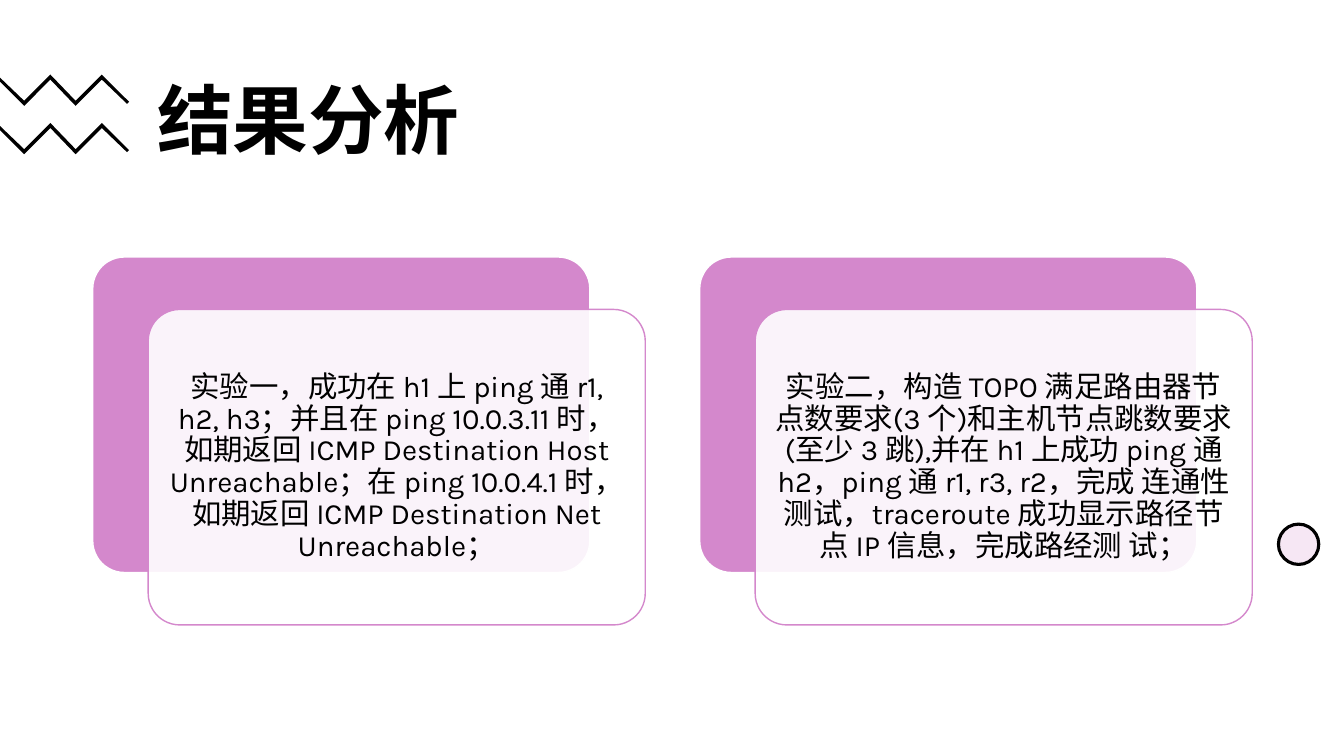
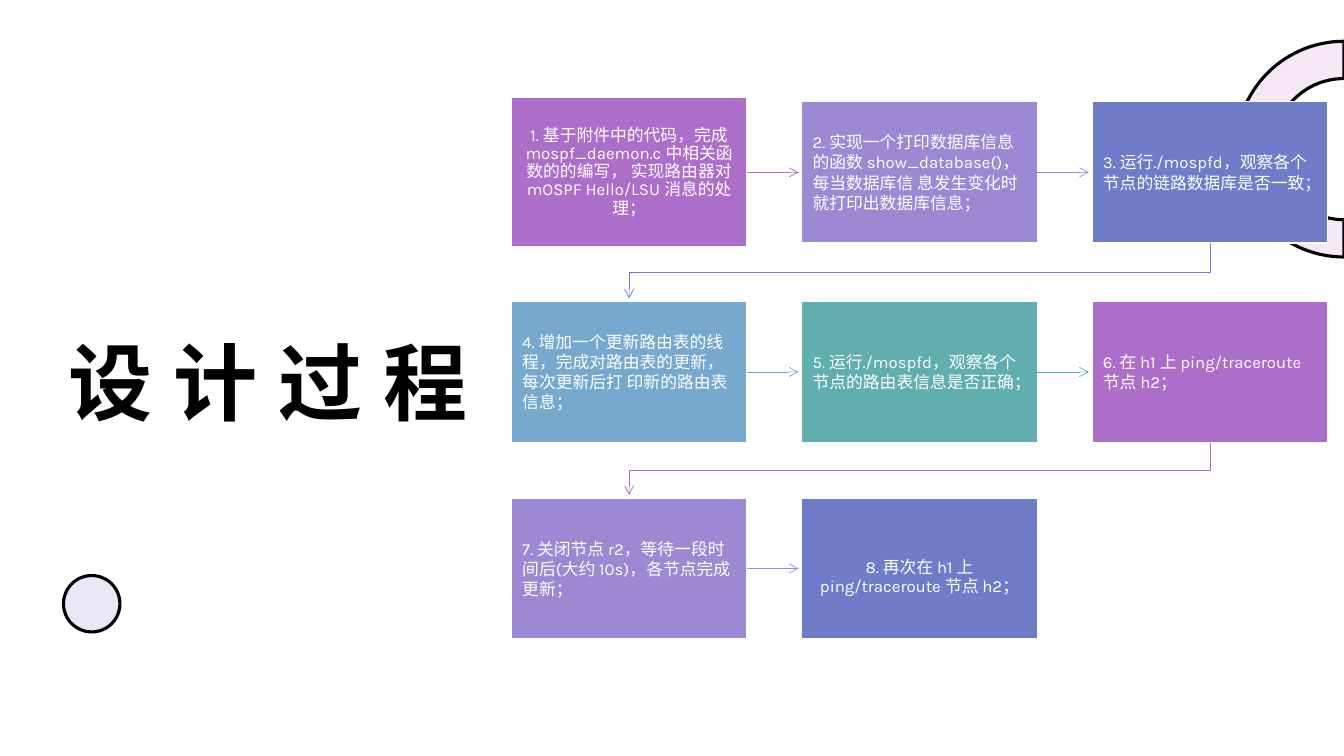
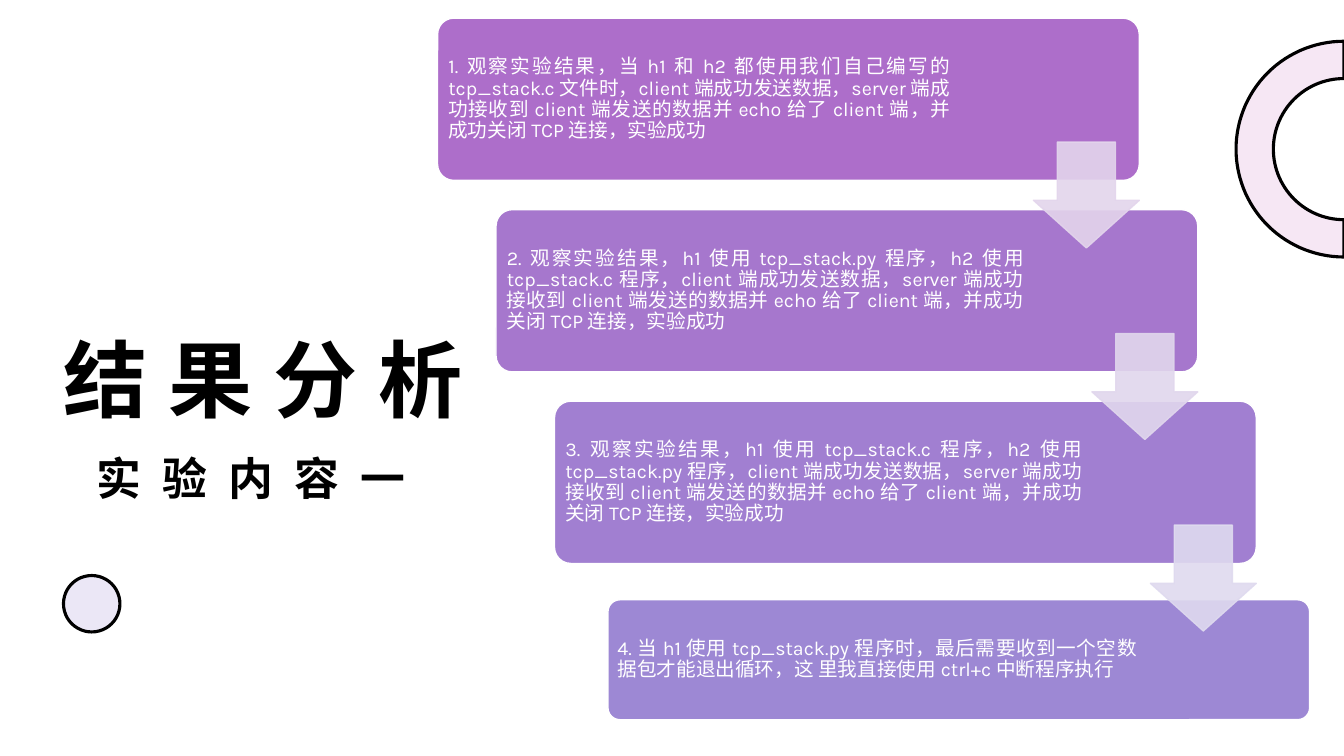
from dataclasses import dataclass
from math import cos, pi, sin

from lxml import etree
from pptx import Presentation
from pptx import util as u
from pptx.dml.color import RGBColor
from pptx.enum import shapes, text
from pptx.oxml.ns import qn

PX = 9144  # EMU in one px, 100 px to the inch


@dataclass(frozen=True)
class Theme:
    font: str = "Karla"
    ink: str = "000000"
    paper: str = "FFFFFF"
    pink: str = "D488CC"
    plum: str = "AD6ECA"
    lilac: str = "9D88D4"
    blue: str = "6E7CCA"
    sky: str = "77A8CE"
    teal: str = "60AEB0"
    steps: tuple = ("AD6ECA", "A677CD", "A17FD1", "9D88D4")
    drops: tuple = ("E3D5EC", "E1D7ED", "DFDAEF")
    head: int = 54
    hero: int = 60
    sub: int = 32
    large: int = 21
    body: int = 14
    small: int = 12
    track: int = 15
    thick: float = 2.25
    edge: float = 1
    hair: float = 0.5


T = Theme()
KIND = shapes.MSO_SHAPE
LEFT, MID, JUST = text.PP_ALIGN.LEFT, text.PP_ALIGN.CENTER, text.PP_ALIGN.JUSTIFY


# Shared drawing helpers

def emu(*sizes):
    return [round(size * PX) for size in sizes]


def fade(paint, alpha):
    """Set the opacity, in percent, of the solid fill inside paint."""
    tint = paint.find(qn("a:solidFill"))[0]
    etree.SubElement(tint, qn("a:alpha")).set("val", str(alpha * 1000))


def stroke(part, color, width):
    part.line.color.rgb = RGBColor.from_string(color)
    part.line.width = u.Pt(width)


def style(shape, fill=None, line=None, width=T.edge, alpha=100):
    shape.shadow.inherit = False
    if fill:
        shape.fill.solid()
        shape.fill.fore_color.rgb = RGBColor.from_string(fill)
        if alpha < 100:
            fade(shape._element.spPr, alpha)
    else:
        shape.fill.background()
    if line:
        stroke(shape, line, width)
    else:
        shape.line.fill.background()
    return shape


def block(slide, kind, box, *look, adj=(), **more):
    shape = slide.shapes.add_shape(kind, *emu(*box))
    for index, value in enumerate(adj):
        shape.adjustments[index] = value
    return style(shape, *look, **more)


def path(slide, points, close=True):
    points = [emu(*point) for point in points]
    pen = slide.shapes.build_freeform(*points[0], scale=1)
    pen.add_line_segments(points[1:], close=close)
    return pen.convert_to_shape()


def arrow(part):
    tip = etree.SubElement(part.line._get_or_add_ln(), qn("a:tailEnd"))
    tip.set("type", "arrow")


def write(shape, words, size, color, align=LEFT, pad=(10, 5, 10, 5),
          space=0.9, anchor=text.MSO_ANCHOR.MIDDLE, bold=False, track=0):
    frame = shape.text_frame
    frame.word_wrap = True
    frame.vertical_anchor = anchor
    (frame.margin_left, frame.margin_top,
     frame.margin_right, frame.margin_bottom) = emu(*pad)
    para = frame.paragraphs[0]
    para.alignment, para.line_spacing = align, space
    run = para.add_run()
    run.text = words
    font = para.font
    font.name, font.size, font.bold = T.font, u.Pt(size), bold
    font.color.rgb = RGBColor.from_string(color)
    if track:
        run._r.get_or_add_rPr().set("spc", str(track * 100))


def title(slide, box, words, size, **more):
    label = slide.shapes.add_textbox(*emu(*box))
    write(label, words, size, T.ink, bold=True, **more)


def hero(slide, box, words, size=T.hero, align=LEFT):
    title(slide, box, words, size, align=align, track=T.track,
          anchor=text.MSO_ANCHOR.BOTTOM)


# Ornaments

def zigzag(slide, top):
    ridge = [(0, 3), (24, 26), (50, 0), (75, 26), (101, 0), (128, 27),
             (126, 29), (101, 5), (75, 31), (50, 5), (24, 31), (0, 7)]
    style(path(slide, [(x, top + y) for x, y in ridge]), T.ink)


def dot(slide, box, color):
    block(slide, KIND.OVAL, box, color, T.ink, T.thick, alpha=20)


def ring(slide, x, y, outer, inner):
    """Left half of a ring centred on x, y."""
    turn = [pi / 2 + pi * step / 60 for step in range(61)]
    arc = [(x + outer * cos(a), y + outer * sin(a)) for a in turn]
    arc += [(x + inner * cos(a), y + inner * sin(a)) for a in reversed(turn)]
    style(path(slide, arc), T.pink, T.ink, T.thick, alpha=20)


def side(slide):
    ring(slide, 1333, 148, 107, 70)
    dot(slide, (63, 571, 56, 56), T.lilac)


# Slide 1: two layered cards

def card(slide, box, words):
    x, y, w, h = box
    block(slide, KIND.ROUNDED_RECTANGLE, box, T.pink, T.paper, adj=[0.1])
    front = block(slide, KIND.ROUNDED_RECTANGLE, (x + 55, y + 52, w, h),
                  T.paper, T.pink, adj=[0.1], alpha=90)
    write(front, words, T.large, T.ink, MID, (9, 9, 9, 9))


def cards(slide):
    title(slide, (146, 62, 1066, 123), "结果分析", T.head)
    for top in (74, 122):
        zigzag(slide, top)
    dot(slide, (1268, 520, 40, 40), T.pink)
    notes = [
        "实验一，成功在 h1 上 ping 通 r1, h2, h3；并且在 ping 10.0.3.11 时，"
        "如期返回 ICMP Destination Host Unreachable；在 ping 10.0.4.1 时，"
        "如期返回 ICMP Destination Net Unreachable；",
        "实验二，构造 TOPO 满足路由器节点数要求(3 个)和主机节点跳数要求"
        "(至少 3 跳),并在 h1 上成功 ping 通 h2，ping 通 r1, r3, r2，"
        "完成 连通性测试，traceroute 成功显示路径节点 IP 信息，完成路经测 试；",
    ]
    for index, words in enumerate(notes):
        card(slide, (92 + 602 * index, 255, 493, 313), words)


# Slide 2: process grid

def link(slide, cell, color):
    """Arrow from the right side of a cell to the next one."""
    x = cell.left + cell.width
    y = cell.top + cell.height // 2
    line = slide.shapes.add_connector(
        shapes.MSO_CONNECTOR.STRAIGHT, x, y, x + 51 * PX, y)
    line.begin_connect(cell, 3)
    stroke(line, color, T.hair)
    arrow(line)
    etree.SubElement(line._element.spPr, qn("a:effectLst"))


def wrap(slide, start, end, color):
    """Arrow from the last cell of a row to the first of the next."""
    (x1, y1), (x2, y2) = start, end
    mid = (y1 + y2) / 2
    turn = [start, (x1, mid), (x2, mid), (x2, y2 - 3)]
    line = style(path(slide, turn, close=False), None, color, T.hair)
    arrow(line)


def flow(slide, left, tops, steps):
    w, h, pitch = 234, 140, 288
    for index, (color, words) in enumerate(steps):
        row, col = divmod(index, 3)
        x, y = left + pitch * col, tops[row]
        first, last = index == 0, index == len(steps) - 1
        grow = 4 if first else 0  # the opening cell is taller
        drop = 18 if last else 0  # the closing text sits lower
        cell = block(slide, KIND.RECTANGLE,
                     (x, y - grow, w, h + 2 * grow), color, T.paper)
        outer = first or last
        write(cell, words, T.small, T.paper, MID if outer else LEFT,
              (11, 12 + drop, 11, 12), 0.9 if outer else 1.0)
        if last:
            continue
        if col < 2:
            link(slide, cell, color)
        else:
            wrap(slide, (x + w / 2, y + h),
                 (left + w / 2, tops[row + 1]), color)


def process(slide):
    side(slide)
    hero(slide, (43, 315, 445, 119), "设计过程", align=MID)
    flow(slide, 507, (101, 299, 494), [
        (T.plum, "1. 基于附件中的代码，完成 mospf_daemon.c 中相关函数的的编写， "
                 "实现路由器对 mOSPF Hello/LSU 消息的处理；"),
        (T.lilac, "2. 实现一个打印数据库信息的函数 show_database()，"
                  "每当数据库信 息发生变化时就打印出数据库信息；"),
        (T.blue, "3. 运行./mospfd，观察各个节点的链路数据库是否一致；"),
        (T.sky, "4. 增加一个更新路由表的线程，完成对路由表的更新，"
                "每次更新后打 印新的路由表信息；"),
        (T.teal, "5. 运行./mospfd，观察各个节点的路由表信息是否正确；"),
        (T.plum, "6. 在 h1 上 ping/traceroute 节点 h2；"),
        (T.lilac, "7. 关闭节点 r2，等待一段时间后(大约 10s)，各节点完成更新；"),
        (T.blue, "8. 再次在 h1 上 ping/traceroute 节点 h2；"),
    ])


# Slide 3: staircase of results

def stairs(slide, spots, notes):
    """Each spot holds left, top, height and the right text inset."""
    for (x, y, h, inset), color, words in zip(spots, T.steps, notes):
        step = block(slide, KIND.ROUNDED_RECTANGLE, (x, y, 696, h),
                     color, T.paper, adj=[0.1])
        write(step, words, T.body, T.paper, JUST, (6, 6, inset, 6))
    for (x, y, *_), color in zip(spots, T.drops):
        drop = block(slide, KIND.DOWN_ARROW, (x + 591, y + 123, 105, 105),
                     color, color, adj=[0.55, 0.45], alpha=90)
        fade(drop.line._get_or_add_ln(), 90)


def results(slide):
    side(slide)
    hero(slide, (53, 319, 458, 112), "结果分析")
    tail = ("client 端成功发送数据，server 端成功接收到 client 端发送的数据并 "
            "echo 给了 client 端，并成功关闭 TCP 连接，实验成功")
    spots = [(434, 18, 161, 183), (492, 208, 161, 168),
             (550, 398, 161, 168), (603, 595, 119, 168)]
    stairs(slide, spots, [
        "1. 观察实验结果，当 h1 和 h2 都使⽤我们⾃⼰编写的 tcp_stack.c ⽂件时，" + tail,
        "2. 观察实验结果，h1 使⽤ tcp_stack.py 程序，h2 使⽤ tcp_stack.c 程序，" + tail,
        "3. 观察实验结果，h1 使⽤ tcp_stack.c 程序，h2 使⽤ tcp_stack.py 程序，" + tail,
        "4. 当 h1 使⽤ tcp_stack.py 程序时，最后需要收到⼀个空数据包才能退出循环，"
        "这 ⾥我直接使⽤ ctrl+c 中断程序执⾏",
    ])
    hero(slide, (43, 437, 412, 69), "实验内容一", T.sub, MID)


def main():
    deck = Presentation()
    deck.slide_width, deck.slide_height = emu(1333, 750)
    for build in (cards, process, results):
        build(deck.slides.add_slide(deck.slide_layouts[6]))
    deck.save("out.pptx")


if __name__ == "__main__":
    main()
